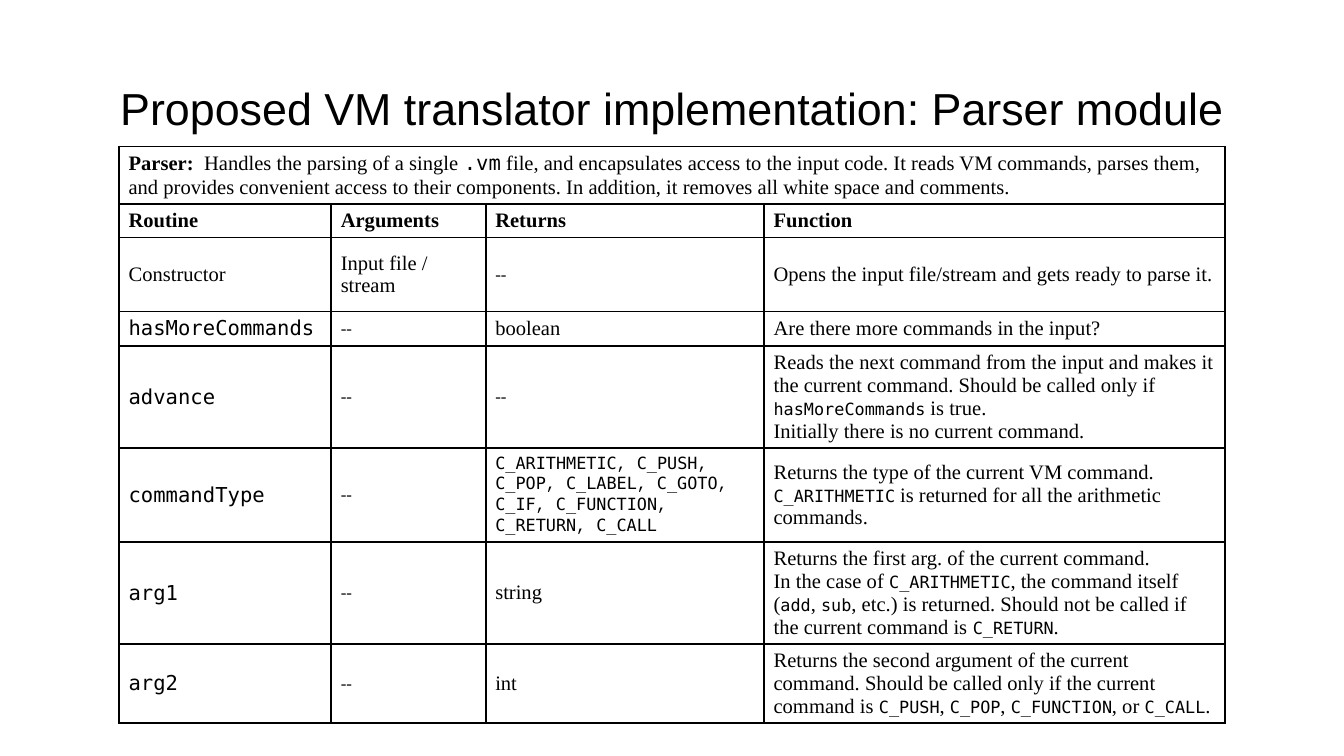
from lxml.etree import SubElement
from pptx import Presentation
from pptx.dml.color import RGBColor
from pptx.enum.text import MSO_ANCHOR, PP_ALIGN
from pptx.oxml.ns import qn
from pptx.util import Cm, Pt

COLORS = {"text": "000000", "border": "000000"}
SERIF, MONO, COMMA_FONT = "Times New Roman", "DejaVu Sans Mono", "Courier New"
BODY_SIZE, SMALL_SIZE = 11, 9

COLUMN_WIDTHS = [4.01, 2.92, 5.26, 8.71]
ROW_HEIGHTS = [1.08, 0.62, 1.4, 0.64, 1.92, 1.77, 1.91, 1.47]

# Text between backticks is code.
SUMMARY = (
    "Handles the parsing of a single `.vm` file, and encapsulates access to the "
    "input code. It reads VM commands, parses them, and provides convenient access "
    "to their components. In addition, it removes all white space and comments."
)
HEADINGS = ["Routine", "Arguments", "Returns", "Function"]
COMMAND_TYPES = (
    "`C_ARITHMETIC`, `C_PUSH`, `C_POP`, `C_LABEL`, `C_GOTO`, "
    "`C_IF`, `C_FUNCTION`, `C_RETURN`, `C_CALL`"
)
ROUTINES = [
    ["Constructor", "Input file / stream", "--",
     "Opens the input file/stream and gets ready to parse it."],
    ["`hasMoreCommands`", "--", "boolean", "Are there more commands in the input?"],
    ["`advance`", "--", "--",
     "Reads the next command from the input and makes it the current command. "
     "Should be called only if `hasMoreCommands` is true.\n"
     "Initially there is no current command."],
    ["`commandType`", "--", COMMAND_TYPES,
     "Returns the type of the current VM command. "
     "`C_ARITHMETIC` is returned for all the arithmetic commands."],
    ["`arg1`", "--", "string",
     "Returns the first arg. of the current command.\n"
     "In the case of `C_ARITHMETIC`, the command itself (`add`, `sub`, etc.) is "
     "returned. Should not be called if the current command is `C_RETURN`."],
    ["`arg2`", "--", "int",
     "Returns the second argument of the current command. Should be called only if "
     "the current command is `C_PUSH`, `C_POP`, `C_FUNCTION`, or `C_CALL`."],
]


class SlideBuilder:
    def __init__(self, presentation):
        self.slide = presentation.slides.add_slide(presentation.slide_layouts[5])

    def set_font(self, font, name, size, bold=False):
        font.name, font.size, font.bold = name, Pt(size), bold
        font.color.rgb = RGBColor.from_string(COLORS["text"])

    def title(self, text, left, top, width, height):
        shape = self.slide.shapes.title
        shape.left, shape.top = Cm(left), Cm(top)
        shape.width, shape.height = Cm(width), Cm(height)
        frame = shape.text_frame
        frame.text = text
        frame.word_wrap = True
        frame.vertical_anchor = MSO_ANCHOR.MIDDLE
        paragraph = frame.paragraphs[0]
        paragraph.alignment = PP_ALIGN.CENTER
        self.set_font(paragraph.font, "Arial", 24)

    def table(self, left, top, column_widths, row_heights):
        frame = self.slide.shapes.add_table(
            len(row_heights), len(column_widths), Cm(left), Cm(top),
            Cm(sum(column_widths)), Cm(sum(row_heights)))
        table = frame.table
        table.first_row = table.horz_banding = False
        for column, width in zip(table.columns, column_widths):
            column.width = Cm(width)
        for row, height in zip(table.rows, row_heights):
            row.height = Cm(height)
        for cell in table.iter_cells():
            self.format_cell(cell)
        return table

    def format_cell(self, cell):
        cell.margin_left = cell.margin_right = Cm(0.18)
        cell.margin_top = cell.margin_bottom = Cm(0.1)
        cell.vertical_anchor = MSO_ANCHOR.MIDDLE
        properties = cell._tc.get_or_add_tcPr()
        for side in ("lnL", "lnR", "lnT", "lnB"):
            line = SubElement(properties, qn(f"a:{side}"), w=str(Pt(1)))
            fill = SubElement(line, qn("a:solidFill"))
            SubElement(fill, qn("a:srgbClr"), val=COLORS["border"])
        cell.fill.background()

    def cell_text(self, cell, text, font=SERIF, size=BODY_SIZE, code_size=SMALL_SIZE,
                  bold=False, lead=""):
        """Fill a cell, with an optional bold lead and code between backticks."""
        paragraph = cell.text_frame.paragraphs[0]
        self.set_font(paragraph.font, font, size, bold)
        if lead:
            run = paragraph.add_run()
            run.text = lead
            run.font.bold = True
        for index, part in enumerate(text.split("`")):
            for number, line in enumerate(part.split("\n")):
                if number:
                    paragraph.add_line_break()
                if not line:
                    continue
                run = paragraph.add_run()
                run.text = line
                if index % 2:
                    self.set_font(run.font, MONO, code_size)


def main():
    presentation = Presentation()
    presentation.slide_width, presentation.slide_height = Cm(25.4), Cm(14.29)
    builder = SlideBuilder(presentation)
    builder.title("Proposed VM translator implementation: Parser module",
                  0.86, 1.24, 23.67, 1.6)

    table = builder.table(2.25, 2.77, COLUMN_WIDTHS, ROW_HEIGHTS)
    table.cell(0, 0).merge(table.cell(0, len(HEADINGS) - 1))
    builder.cell_text(table.cell(0, 0), SUMMARY, code_size=BODY_SIZE, lead="Parser:  ")
    for column, heading in enumerate(HEADINGS):
        builder.cell_text(table.cell(1, column), heading, bold=True)
    for row, routine in enumerate(ROUTINES, start=2):
        for column, text in enumerate(routine):
            cell = table.cell(row, column)
            if text == COMMAND_TYPES:
                builder.cell_text(cell, text, font=COMMA_FONT, size=SMALL_SIZE)
            else:
                builder.cell_text(cell, text,
                                  size=SMALL_SIZE if text == "--" else BODY_SIZE,
                                  code_size=SMALL_SIZE if column else BODY_SIZE)

    presentation.save("out.pptx")


if __name__ == "__main__":
    main()
